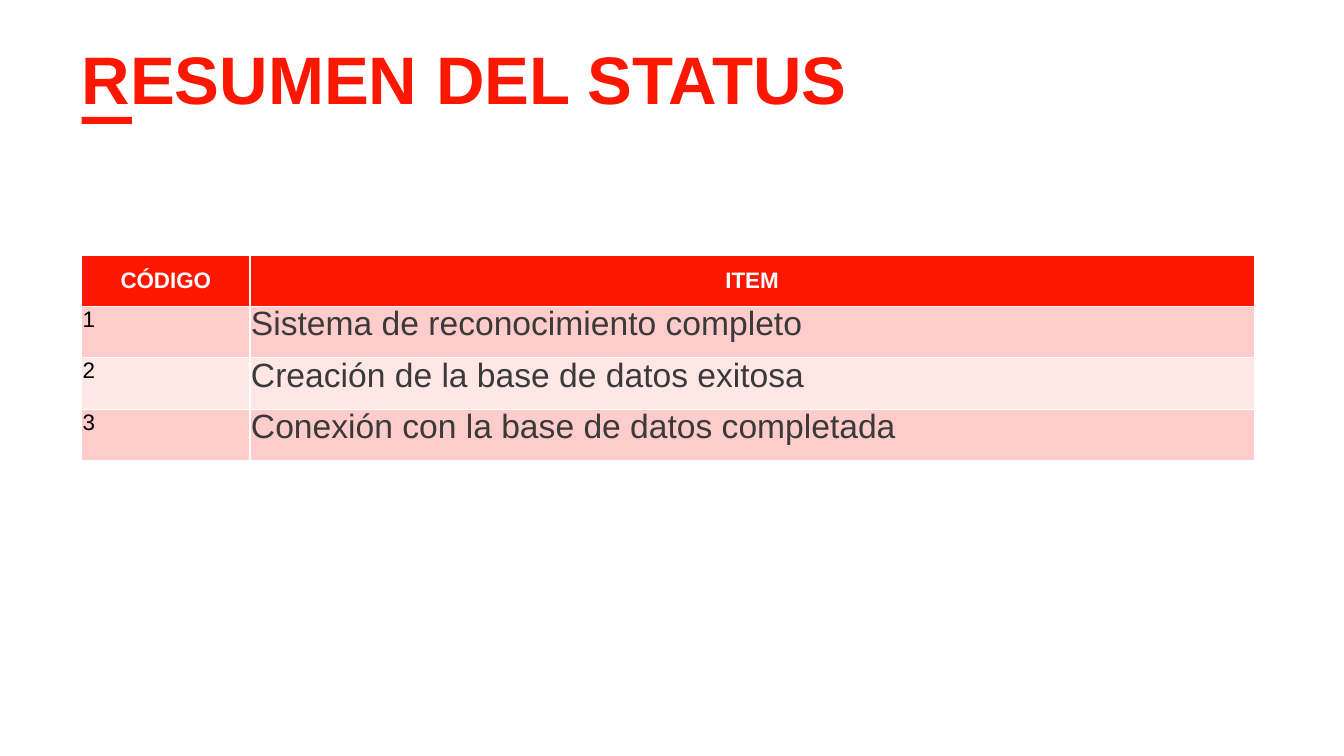
from lxml import etree
from pptx import Presentation
from pptx.dml.color import RGBColor
from pptx.enum.shapes import MSO_SHAPE
from pptx.enum.text import MSO_ANCHOR, MSO_AUTO_SIZE, PP_ALIGN
from pptx.oxml.ns import qn
from pptx.util import Inches, Pt

LEFT, CENTER = PP_ALIGN.LEFT, PP_ALIGN.CENTER
TOP, MIDDLE, BOTTOM = MSO_ANCHOR.TOP, MSO_ANCHOR.MIDDLE, MSO_ANCHOR.BOTTOM
RECT = MSO_SHAPE.RECTANGLE
NO_FIT = MSO_AUTO_SIZE.NONE

FONT = "Arial"
RED, WHITE, BLACK, GRAY = "FD1700", "FFFFFF", "000000", "3A3A3A"
BANDS = ["FECCCB", "FFE7E6"]

HEADERS = ["CÓDIGO", "ITEM"]
ITEMS = [
    "Sistema de reconocimiento completo",
    "Creación de la base de datos exitosa",
    "Conexión con la base de datos completada",
]


def rgb(color):
    return RGBColor.from_string(color)


def write(tf, text, size=16, color=BLACK, bold=False, align=LEFT, spacing=1.0):
    p = tf.paragraphs[0]
    p.alignment = align
    p.line_spacing = spacing
    r = p.add_run()
    r.text = text
    r.font.name = FONT
    r.font.size = Pt(size)
    r.font.bold = bold
    r.font.color.rgb = rgb(color)


def set_margins(target, left, top, right, bottom):
    target.margin_left, target.margin_top = Inches(left), Inches(top)
    target.margin_right, target.margin_bottom = Inches(right), Inches(bottom)


def add_borders(cell, color=WHITE, width=1):
    tc_pr = cell._tc.get_or_add_tcPr()
    for i, side in enumerate(["a:lnL", "a:lnR", "a:lnT", "a:lnB"]):
        ln = etree.Element(qn(side), w=str(Pt(width)))
        fill = etree.SubElement(ln, qn("a:solidFill"))
        etree.SubElement(fill, qn("a:srgbClr"), val=color)
        tc_pr.insert(i, ln)  # borders come before the fill


def add_title(s, text, x, y, w, h):
    sp = s.shapes.title
    sp.left, sp.top, sp.width, sp.height = map(Inches, (x, y, w, h))
    tf = sp.text_frame
    tf.word_wrap = True
    tf.auto_size = NO_FIT
    tf.vertical_anchor = BOTTOM
    set_margins(tf, 0.1, 0.03, 0.1, 0.05)
    write(tf, text, size=48, color=RED, bold=True, spacing=0.9)

    # Accent bar under the first letter
    bar = s.shapes.add_shape(RECT, Inches(x + 0.1), Inches(y + h - 0.07),
                             Inches(0.5), Inches(0.07))
    bar.shadow.inherit = False
    bar.fill.solid()
    bar.fill.fore_color.rgb = rgb(RED)
    bar.line.fill.background()


def fill_cell(cell, text, fill, anchor=TOP, **fmt):
    cell.fill.solid()
    cell.fill.fore_color.rgb = rgb(fill)
    cell.vertical_anchor = anchor
    set_margins(cell, 0.01, 0.01, 0.01, 0)
    add_borders(cell)
    write(cell.text_frame, text, **fmt)


def add_status_table(s, x, y, w, row_h, code_w):
    rows = len(ITEMS) + 1
    table = s.shapes.add_table(rows, len(HEADERS), Inches(x), Inches(y),
                               Inches(w), Inches(row_h * rows)).table
    table.columns[0].width = Inches(code_w)
    table.columns[1].width = Inches(w - code_w)

    # Header row
    for col, text in enumerate(HEADERS):
        fill_cell(table.cell(0, col), text, RED, anchor=MIDDLE,
                  color=WHITE, bold=True, align=CENTER)

    # Numbered items in alternating bands
    for row, item in enumerate(ITEMS, start=1):
        band = BANDS[(row - 1) % 2]
        fill_cell(table.cell(row, 0), str(row), band)
        fill_cell(table.cell(row, 1), item, band,
                  size=24, color=GRAY, spacing=0.95)


def main():
    prs = Presentation()
    prs.slide_width, prs.slide_height = Inches(13.33), Inches(7.5)
    s = prs.slides.add_slide(prs.slide_layouts[5])
    add_title(s, "RESUMEN DEL STATUS", 0.71, 0.49, 10.96, 0.74)
    add_status_table(s, 0.81, 2.53, 11.63, row_h=0.51, code_w=1.67)
    prs.save("out.pptx")


if __name__ == "__main__":
    main()
